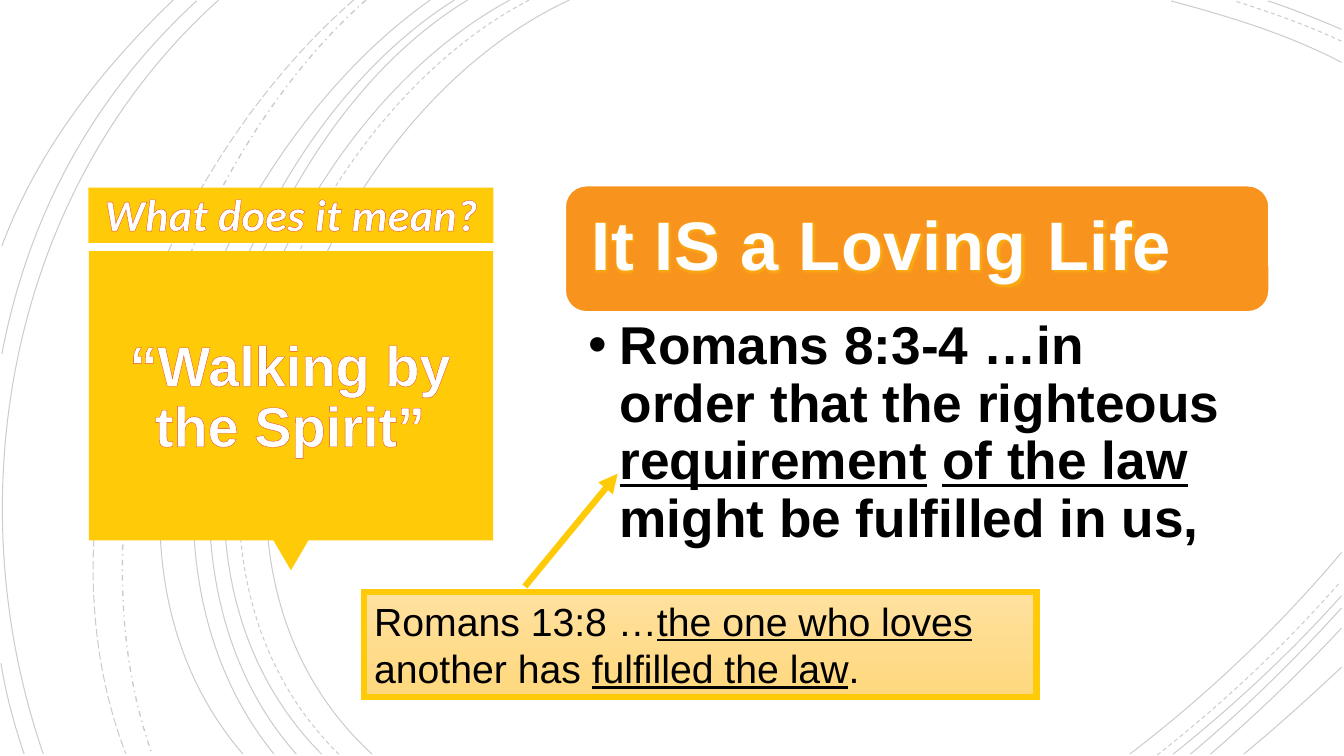
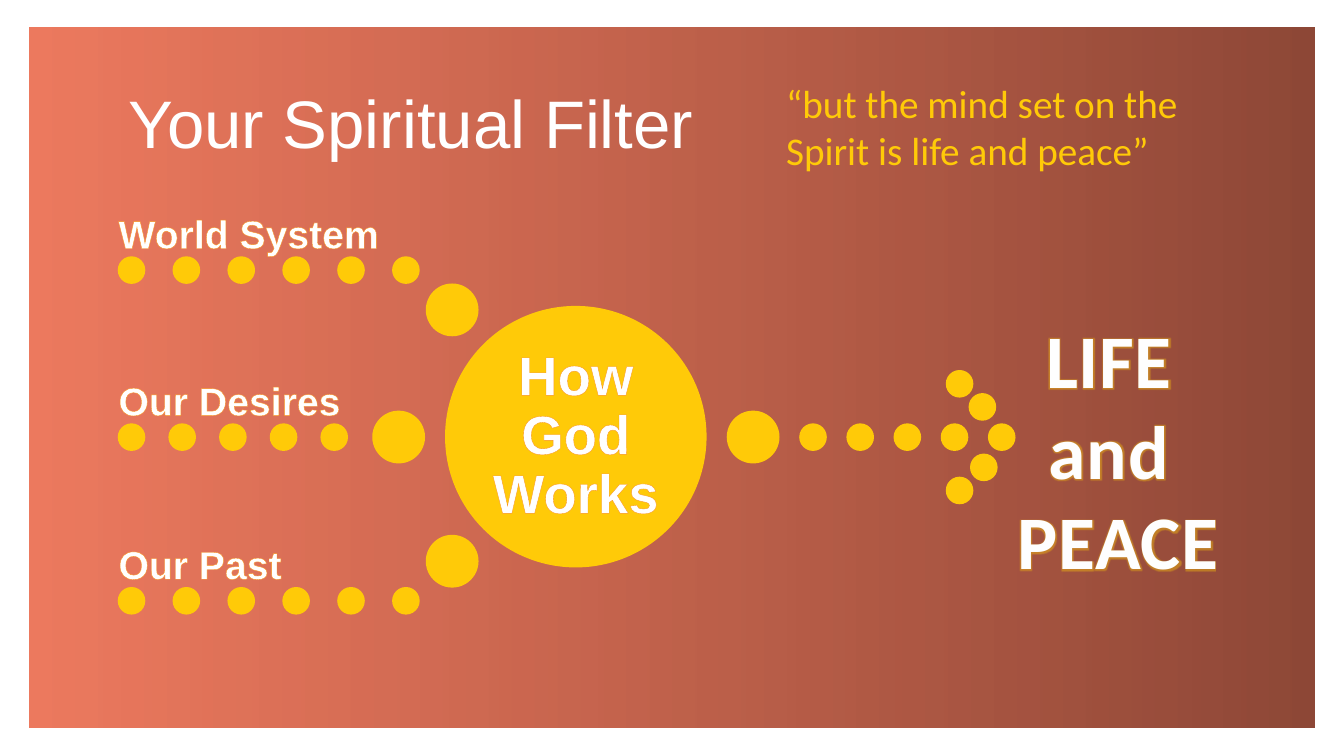
import pptx
import pptx.dml.color
import pptx.enum.dml
import pptx.enum.shapes
import pptx.enum.text
import pptx.oxml
import pptx.oxml.ns
import pptx.util
from lxml import etree

Pt = pptx.util.Pt
qn = pptx.oxml.ns.qn
SHAPE = pptx.enum.shapes.MSO_SHAPE
DASH = pptx.enum.dml.MSO_LINE
ALIGN = pptx.enum.text.PP_ALIGN
ANCHOR = pptx.enum.text.MSO_ANCHOR

GOLD, ORANGE, RED = "FFCA08", "F8931D", "E64823"
WHITE, SOFT_WHITE, BLACK = "FFFFFF", "FEFEFE", "000000"

ARCS = [
    ((406.8, 0), (226.8, 82.8), (103, 388.8), (265.7, 538.6), DASH.SOLID),
    ((958.3, 44.6), (920.2, 24.5), (877, 11.5), (836.6, 0.7), DASH.SOLID),
    ((807.1, 538.6), (861.8, 496.8), (913.7, 447.8), (958.3, 394.6), DASH.SOLID),
    ((378, 0), (205.2, 90), (88.6, 386.6), (241.9, 538.6), DASH.DASH),
    ((958.3, 29.5), (933.8, 18), (907.2, 8.6), (882, 0.7), DASH.DASH),
    ((826.6, 539.3), (873.4, 502.6), (918, 460.8), (957.6, 415.4), DASH.DASH),
    ((364.3, 0), (194.4, 91.4), (79.2, 386.6), (229.7, 538.6), DASH.SOLID),
    ((958.3, 20.9), (941, 13.7), (923.8, 6.5), (905.8, 0.7), DASH.SOLID),
    ((838.1, 538.6), (880.6, 504.7), (921.6, 466.6), (958.3, 425.5), DASH.SOLID),
    ((334.1, 0), (175.7, 95.8), (79.2, 389.5), (211.7, 538.6), DASH.SOLID),
    ((850.3, 538.6), (888.5, 506.9), (924.5, 471.6), (958.3, 434.2), DASH.SOLID),
    ((324.7, 0), (166.3, 99.4), (69.8, 383.8), (195.8, 538.6), DASH.SOLID),
    ((864.7, 538.6), (897.1, 510.5), (928.8, 480.2), (958.3, 448.6), DASH.SOLID),
    ((307.4, 0), (156.2, 105.8), (38.2, 380.9), (173.5, 538.6), DASH.SOLID),
    ((888.5, 538.6), (912.2, 519.1), (935.3, 498.2), (958.3, 476.6), DASH.SOLID),
    ((261.4, 0), (126.7, 119.5), (46.8, 366.5), (108.7, 538.6), DASH.DASH_DOT),
    ((252.7, 0), (113, 121.7), (20.9, 359.3), (90, 538.6), DASH.LONG_DASH),
    ((156.2, 0), (7.9, 133.2), (-33.1, 352.8), (31, 538.6), DASH.SOLID),
    ((140.4, 0.7), (66.2, 69.1), (20.2, 154.1), (1.4, 252.7), DASH.SOLID),
    ((0.7, 473.8), (4.3, 496.1), (10.1, 517.7), (17.3, 538.6), DASH.SOLID),
    ((123.8, 0), (72, 49.7), (26.6, 108), (1.4, 175.7), DASH.SOLID),
]


def rgb(value):
    return pptx.dml.color.RGBColor.from_string(value)


def fade(shape, *percents):
    colors = list(shape.element.spPr.iter(qn("a:srgbClr")))
    for color, percent in zip(colors, percents):
        etree.SubElement(color, qn("a:alpha")).set("val", str(percent * 1000))


def outline_span(span, color, width):
    line = etree.Element(qn("a:ln"), w=str(int(Pt(width))))
    fill = etree.SubElement(line, qn("a:solidFill"))
    etree.SubElement(fill, qn("a:srgbClr")).set("val", color)
    span.font._element.insert(0, line)


def glow_span(span, color, radius):
    effects = etree.Element(qn("a:effectLst"))
    glow = etree.SubElement(effects, qn("a:glow"), rad=str(int(Pt(radius))))
    tint = etree.SubElement(glow, qn("a:srgbClr"), val=color)
    etree.SubElement(tint, qn("a:alpha"), val="40000")
    span.font._element.find(qn("a:solidFill")).addnext(effects)


def bullet_para(para, indent):
    properties = para._p.get_or_add_pPr()
    properties.set("marL", str(int(Pt(indent))))
    properties.set("indent", str(int(Pt(-indent))))
    etree.SubElement(properties, qn("a:buFont")).set("typeface", "Arial")
    etree.SubElement(properties, qn("a:buChar")).set("char", "•")


def write(shape, text, *, size, font="Arial", color=WHITE, bold=False, italic=False,
          align=ALIGN.LEFT, anchor=ANCHOR.TOP, margins=(7.2, 3.6, 7.2, 3.6),
          spacing=1.0, wrap=True, outline=None, glow=None, tracking=0, bullet_indent=0):
    """Text between underscores is underlined."""
    frame = shape.text_frame
    frame.auto_size = pptx.enum.text.MSO_AUTO_SIZE.NONE
    frame.word_wrap = wrap
    frame.vertical_anchor = anchor
    (frame.margin_left, frame.margin_top,
     frame.margin_right, frame.margin_bottom) = map(Pt, margins)
    para = frame.paragraphs[0]
    if bullet_indent:
        bullet_para(para, bullet_indent)
    para.alignment = align
    para.line_spacing = spacing
    for index, piece in enumerate(text.split("_")):
        for number, line in enumerate(piece.split("\n")):
            if number:
                para.add_line_break()
            if not line:
                continue
            span = para.add_run()
            span.text = line
            span.font.size = Pt(size)
            span.font.name = font
            span.font.bold = bold
            span.font.italic = italic
            span.font.underline = index % 2 == 1
            span.font.color.rgb = rgb(color)
            if tracking:
                span.font._element.set("spc", str(int(tracking * 100)))
            if glow:
                glow_span(span, *glow)
            if outline:
                outline_span(span, *outline)


class Deck:
    def __init__(self):
        self.deck = pptx.Presentation()
        self.deck.slide_width, self.deck.slide_height = Pt(960), Pt(540)
        self.page = None

    def add_page(self):
        self.page = self.deck.slides.add_slide(self.deck.slide_layouts[5])

    def title(self, text, box, **style):
        title = self.page.shapes.title
        title.element.getparent().append(title.element)
        title.left, title.top, title.width, title.height = map(Pt, box)
        write(title, text, spacing=0.9, **style)

    def text(self, text, box, **style):
        write(self.page.shapes.add_textbox(*map(Pt, box)), text, **style)

    def shape(self, kind, box, fill=GOLD, line=None, line_width=1, angle=0):
        shape = self.page.shapes.add_shape(kind, *map(Pt, box))
        shape.shadow.inherit = False
        if isinstance(fill, tuple):
            shape.fill.gradient()
            shape.fill.gradient_angle = angle
            for stop, color in zip(shape.fill.gradient_stops, fill):
                stop.color.rgb = rgb(color)
        else:
            shape.fill.solid()
            shape.fill.fore_color.rgb = rgb(fill)
        if line:
            shape.line.color.rgb = rgb(line)
            shape.line.width = Pt(line_width)
        else:
            shape.line.fill.background()
        return shape

    def dot(self, left, top, size=18.7):
        return self.shape(SHAPE.OVAL, (left, top, size, size), line=GOLD)

    def dot_row(self, left, top, count, step):
        for index in range(count):
            self.dot(left + index * step, top)

    def arc(self, start, first, second, end, dash):
        points = [(Pt(x), Pt(y)) for x, y in (start, first, second, end)]
        builder = self.page.shapes.build_freeform(*points[0], scale=1.0)
        builder.add_line_segments(points[1:], close=False)
        arc = builder.convert_to_shape()
        outline = next(arc.element.spPr.iter(qn("a:path")))
        curve = etree.SubElement(outline, qn("a:cubicBezTo"))
        for segment in outline.findall(qn("a:lnTo")):
            curve.append(segment[0])
            outline.remove(segment)
        arc.shadow.inherit = False
        arc.fill.background()
        arc.line.color.rgb = rgb(BLACK)
        arc.line.width = Pt(1 if dash == DASH.DASH_DOT else 0.75)
        arc.line.dash_style = dash
        fade(arc, 20)

    def callout(self, text, box, adjustments, **style):
        callout = self.shape(SHAPE.LINE_CALLOUT_1, box, ("FFE19F", "FFD87D"),
                             GOLD, 4.5, angle=270)
        for index, value in enumerate(adjustments):
            callout.adjustments[index] = value
        line = callout.element.spPr.find(qn("a:ln"))
        etree.SubElement(line, qn("a:miter")).set("lim", "800000")
        etree.SubElement(line, qn("a:tailEnd")).set("type", "triangle")
        write(callout, text, **style)


def loving_life(deck):
    deck.add_page()
    deck.shape(SHAPE.RECTANGLE, (0, 0, 960, 540), WHITE)
    for arc in ARCS:
        deck.arc(*arc)
    deck.shape(SHAPE.RECTANGLE, (63.2, 134, 289.2, 39.6))
    deck.shape(SHAPE.ISOSCELES_TRIANGLE, (195.2, 385.8, 25.2, 21.6)).rotation = 180
    deck.shape(SHAPE.RECTANGLE, (63.5, 179.4, 288.7, 206.6))
    deck.title("“Walking by the Spirit”", (71.5, 190.3, 271.4, 188.6), size=40, bold=True,
               align=ALIGN.CENTER, anchor=ANCHOR.MIDDLE, outline=(RED, 0.8))
    banner = deck.shape(SHAPE.ROUNDED_RECTANGLE, (403.8, 132.7, 502.6, 90), ORANGE, WHITE)
    write(banner, "It IS a Loving Life", size=49, color=SOFT_WHITE, bold=True,
          anchor=ANCHOR.MIDDLE, margins=(14.4,) * 4, spacing=0.9,
          outline=(GOLD, 0.75), glow=(GOLD, 3), tracking=0.5)
    deck.text("Romans 8:3-4 …in order that the righteous _requirement_ _of the law_"
              " might be fulfilled in us,\n", (404.3, 222.8, 502.6, 207.4), size=38,
              color=BLACK, bold=True, margins=(15.8, 5, 27.4, 5), spacing=0.9,
              bullet_indent=22.5)
    deck.text("What does it mean?", (66.2, 129.6, 283.7, 46.1), size=32, font="Calibri",
              bold=True, italic=True, align=ALIGN.CENTER, wrap=False, outline=(RED, 0.8))
    deck.callout("Romans 13:8 …_the one who loves _another has _fulfilled the law_.",
                 (260.2, 422.9, 480.2, 74.9), (-0.053, 0.239, -1.129, 0.377),
                 size=28, color=BLACK)


def spiritual_filter(deck):
    deck.add_page()
    panel = deck.shape(SHAPE.RECTANGLE, (20.9, 20, 918.4, 500), (RED, "77220E"))
    fade(panel, 73, 83)
    deck.title("Your Spiritual Filter", (84.6, 28.6, 788.4, 91.4), size=48,
               anchor=ANCHOR.BOTTOM)
    label = dict(size=28, bold=True, anchor=ANCHOR.BOTTOM, margins=(0,) * 4,
                 spacing=0.9, outline=(ORANGE, 0.52))
    inputs = [
        ("World System", 183.6, 6, 39.2, 304.6, 203),
        ("Our Desires", 302.9, 5, 36.2, 266.4, 293.8),
        ("Our Past", 419.8, 6, 39.2, 304.6, 382.5),
    ]
    for name, top, count, step, big_left, big_top in inputs:
        deck.dot_row(84.6, top, count, step)
        deck.dot(big_left, big_top, 36.7)
        deck.text(name, (84.6, top - 47.5, 215.3, 47.5), **label)
    hub = deck.dot(318.4, 219, 185.8)
    write(hub, "How God Works", size=39, bold=True, align=ALIGN.CENTER,
          anchor=ANCHOR.MIDDLE, margins=(3.6,) * 4, spacing=0.9, outline=(ORANGE, 0.52))
    deck.dot(519.6, 293.8, 36.7)
    deck.dot_row(571.4, 302.9, 5, 33.7)
    for left, top in [(676.1, 264.8), (692.4, 281.3), (693.4, 324.5), (676.1, 341)]:
        deck.dot(left, top)
    deck.text("LIFE \nand \nPEACE", (718.8, 219.9, 159.8, 203.8), size=54, font="Calibri",
              color=SOFT_WHITE, bold=True, align=ALIGN.CENTER, wrap=False,
              outline=(GOLD, 0.75), glow=(GOLD, 3), tracking=0.5)
    deck.text("“but the mind set on the Spirit is life and peace”",
              (554.4, 53.3, 300.2, 74.9), size=28, font="Calibri", color=GOLD)


def main():
    deck = Deck()
    loving_life(deck)
    spiritual_filter(deck)
    deck.deck.save("out.pptx")


if __name__ == "__main__":
    main()
